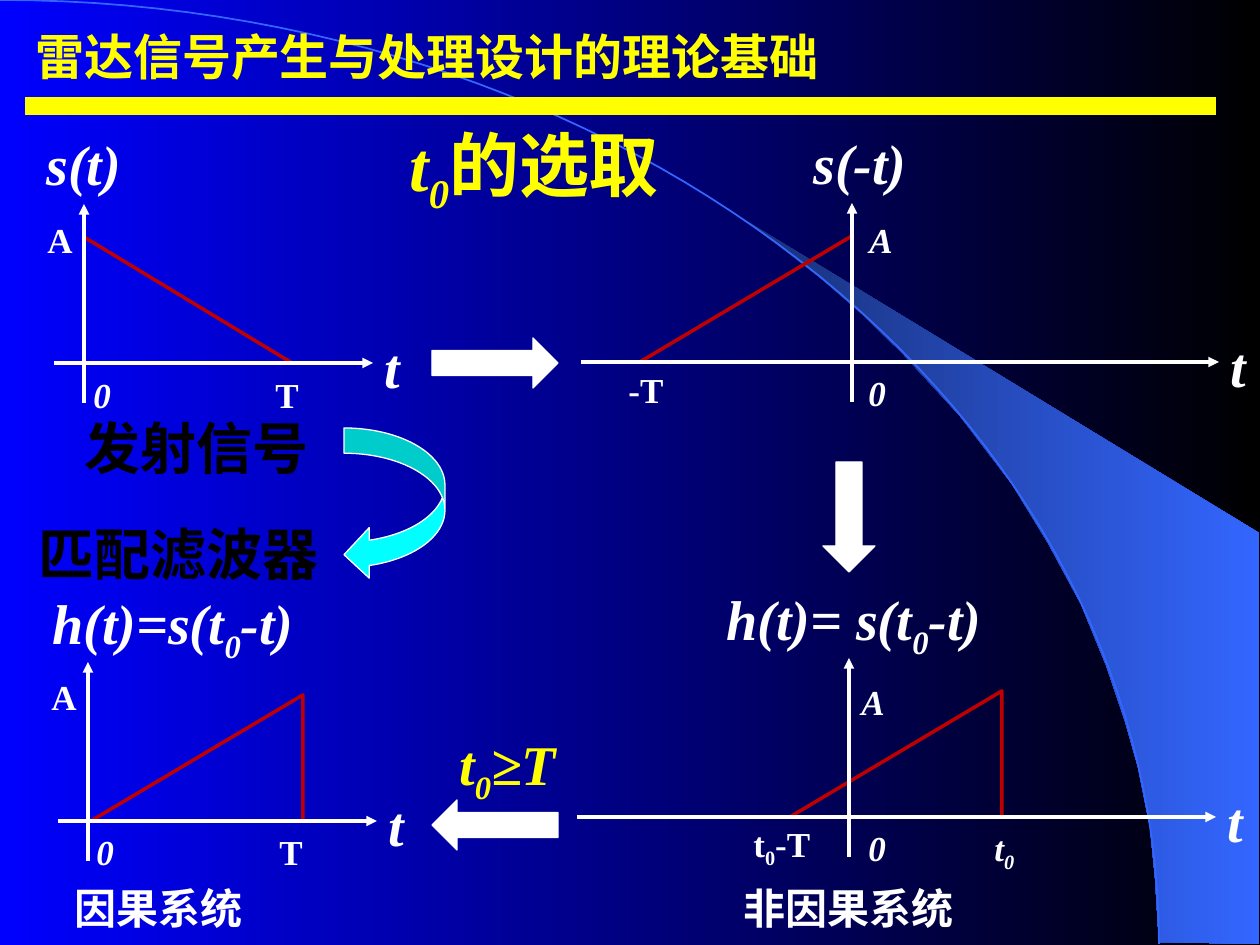
import lxml.etree
import pptx
import pptx.dml.color
import pptx.enum.shapes
import pptx.enum.text
import pptx.oxml.ns
import pptx.util

PX = 914400 / 126
SLACK = 8
RGB = pptx.dml.color.RGBColor
SHAPE = pptx.enum.shapes.MSO_SHAPE
WHITE = RGB(0xFF, 0xFF, 0xFF)
BLACK = RGB(0, 0, 0)
YELLOW = RGB(0xFF, 0xFF, 0)
RED = RGB(0xC0, 0, 0)
CYAN = RGB(0, 0xFF, 0xFF)
BLUE = RGB(0, 0, 0xFF)
SKY = RGB(0x33, 0x66, 0xFF)
NAVY = RGB(0x18, 0x2F, 0x76)
SERIF = "Times New Roman"
CJK = "Noto Sans CJK SC"
CJK_TITLE = "Noto Sans CJK JP"


def px(n):
    """Turn pixels into EMU."""
    return pptx.util.Emu(round(n * PX))


def child(parent, tag, **attrs):
    """Append a DrawingML element."""
    return lxml.etree.SubElement(parent, pptx.oxml.ns.qn(tag), **attrs)


def set_gradient(fill, start, end):
    """Fill from left to right with two colours."""
    fill.gradient()
    fill.gradient_angle = 0
    for stop, color, position in zip(fill.gradient_stops, (start, end), (0, 1)):
        stop.color.rgb = color
        stop.position = position


def style(sp, fill=None, line=None, width=0.75):
    """Set fill and outline, and drop the shadow."""
    sp.shadow.inherit = False
    if fill is None:
        sp.fill.background()
    else:
        sp.fill.solid()
        sp.fill.fore_color.rgb = fill
    if line is None:
        sp.line.fill.background()
    else:
        sp.line.color.rgb = line
        sp.line.width = pptx.util.Pt(width)


def add_preset(s, kind, x, y, w, h, **look):
    """Add a preset shape."""
    sp = s.shapes.add_shape(kind, px(x), px(y), px(w), px(h))
    style(sp, **look)
    return sp


def add_outline(s, points, close):
    """Add a freeform through the points."""
    start, *rest = [(px(x), px(y)) for x, y in points]
    fb = s.shapes.build_freeform(*start)
    fb.add_line_segments(rest, close=close)
    return fb.convert_to_shape()


def add_line(s, x1, y1, x2, y2, color=WHITE, width=2, arrow=True):
    """Add a straight line, with an arrowhead at its end if wanted."""
    cn = s.shapes.add_connector(pptx.enum.shapes.MSO_CONNECTOR.STRAIGHT,
                                px(x1), px(y1), px(x2), px(y2))
    cn.line.color.rgb = color
    cn.line.width = pptx.util.Pt(width)
    if arrow:
        child(cn.line._get_or_add_ln(), "a:tailEnd", type="triangle")
    child(cn._element.spPr, "a:effectLst")


def add_text(s, text, x, y, w, size=20, color=WHITE, font=SERIF,
             italic=False, upright_tail=False):
    """Add bold text on one line, with subscripts between underscores."""
    pieces = text.split("_")
    h = size * (2.1 + 0.27 * (len(pieces) > 1)) + 12.6
    tb = s.shapes.add_textbox(px(x), px(y), px(w + SLACK), px(h))
    tf = tb.text_frame
    tf.word_wrap = True
    tf.auto_size = pptx.enum.text.MSO_AUTO_SIZE.NONE
    p = tf.paragraphs[0]
    for i, piece in enumerate(pieces):
        if not piece:
            continue
        r = p.add_run()
        r.text = piece
        r.font.size = pptx.util.Pt(size)
        r.font.bold = True
        r.font.italic = italic and not (upright_tail and i == len(pieces) - 1)
        r.font.color.rgb = color
        r.font.name = font
        rpr = r.font._element
        child(rpr, "a:ea", typeface=CJK if font == SERIF else font)
        if i % 2:
            rpr.set("baseline", "-25000")


def add_graph(s, ox, oy, left, right, pulse_x, pulse_w, mirrored=True):
    """Draw a triangular pulse and its two axes around the origin."""
    sp = add_preset(s, SHAPE.RIGHT_TRIANGLE, pulse_x, oy - 126, pulse_w, 126,
                    line=RED, width=2)
    if mirrored:
        sp._element.spPr.xfrm.set("flipH", "1")
    add_line(s, left, oy, right, oy)
    add_line(s, ox, oy + 40, ox, oy - 159)
    add_text(s, "t", right - 1, oy - 37, 40, size=32, italic=True)


def add_backdrop(s):
    """Draw the gradient background, the beam and the arc."""
    set_gradient(s.background.fill, BLUE, BLACK)
    beam = [(1159, 942), (1259, 944), (1259, 533), (742, 218), (786, 251),
            (823, 280), (863, 315), (902, 353), (960, 416), (1012, 484),
            (1048, 543), (1081, 604), (1106, 665), (1125, 721), (1138, 767),
            (1150, 827), (1155, 877)]
    sp = add_outline(s, beam, True)
    style(sp)
    set_gradient(sp.fill, NAVY, SKY)
    steps = [i / 60 for i in range(61)]
    arc = [(3 * t * (1 - t) ** 2 * 640 + (3 * t * t * (1 - t) + t ** 3) * 1159,
            3 * t * t * (1 - t) * 422 + t ** 3 * 944) for t in steps]
    style(add_outline(s, arc, False), line=SKY, width=1)


def main():
    """Build the slide and save it."""
    prs = pptx.Presentation()
    prs.slide_width, prs.slide_height = px(1260), px(945)
    s = prs.slides.add_slide(prs.slide_layouts[6])
    add_backdrop(s)
    add_line(s, 25, 106, 1216, 106, color=YELLOW, width=10, arrow=False)

    add_graph(s, 84, 363, 54, 373, 84, 208, mirrored=False)
    add_graph(s, 852, 362, 581, 1219, 640, 212)
    add_graph(s, 849, 817, 577, 1216, 790, 212)
    add_graph(s, 88, 821, 58, 377, 91, 212)

    for text, x, y, w in [("s(t)", 34, 123, 100), ("s(-t)", 801, 122, 118),
                          ("h(t)= s(t_0_-t)", 714, 578, 280),
                          ("h(t)=s(t_0_-t)", 40, 582, 266)]:
        add_text(s, text, x, y, w, size=32, italic=True)
    for text, x, y, w in [("0", 81, 367, 43), ("0", 856, 365, 43),
                          ("0", 856, 820, 43), ("0", 84, 824, 43),
                          ("A", 857, 212, 48), ("A", 849, 674, 48),
                          ("t_0_", 982, 820, 45)]:
        add_text(s, text, x, y, w, italic=True)
    for text, x, y, w in [("A", 35, 212, 50), ("A", 39, 669, 50),
                          ("T", 263, 367, 48), ("T", 267, 824, 48),
                          ("-T", 616, 362, 60), ("t_0_-T", 741, 816, 82)]:
        add_text(s, text, x, y, w)

    for kind, x, y, w, h in [(SHAPE.RIGHT_ARROW, 432, 338, 126, 50),
                             (SHAPE.DOWN_ARROW, 823, 462, 52, 110),
                             (SHAPE.LEFT_ARROW, 432, 800, 126, 50)]:
        add_preset(s, kind, x, y, w, h, fill=WHITE, line=WHITE)
    add_preset(s, SHAPE.CURVED_LEFT_ARROW, 344, 428, 101, 152,
               fill=CYAN, line=WHITE)

    add_text(s, "发射信号", 72, 407, 249, size=32, color=BLACK, font=CJK)
    add_text(s, "匹配滤波器", 26, 513, 305, size=32, color=BLACK, font=CJK)
    add_text(s, "因果系统", 62, 876, 193, size=24, font=CJK)
    add_text(s, "非因果系统", 731, 876, 234, size=24, font=CJK)
    add_text(s, "t_0_≥T", 447, 723, 122, size=32, color=YELLOW, italic=True)
    add_text(s, "t_0_的选取", 397, 115, 291, size=40, color=YELLOW,
             italic=True, upright_tail=True)
    add_text(s, "雷达信号产生与处理设计的理论基础", 23, 20, 1186, size=28,
             color=YELLOW, font=CJK_TITLE)
    prs.save("out.pptx")


if __name__ == "__main__":
    main()
